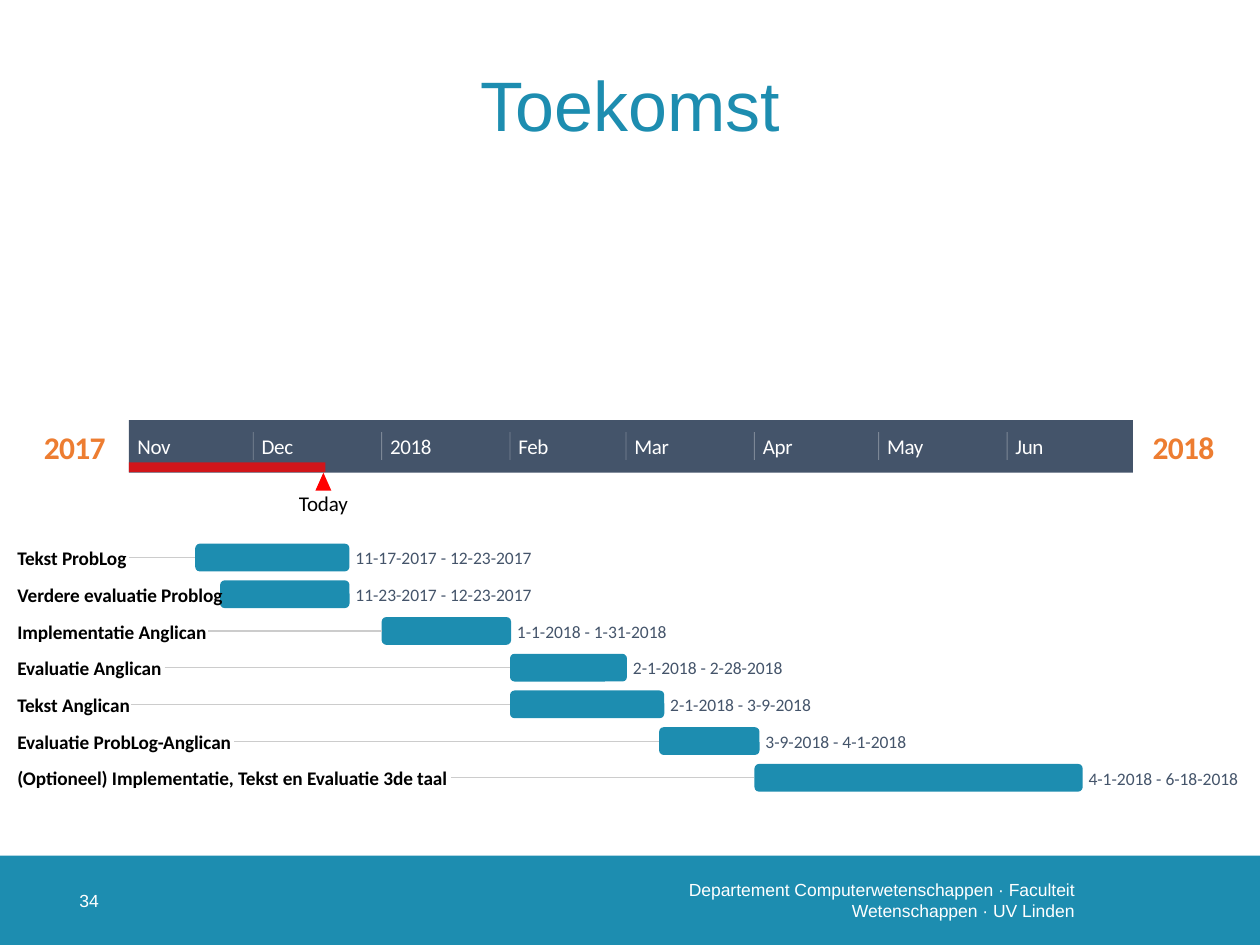
from dataclasses import dataclass
from itertools import accumulate

from lxml.etree import SubElement
from pptx import Presentation
from pptx.dml.color import RGBColor
from pptx.enum.shapes import MSO_CONNECTOR, MSO_SHAPE as SHAPE
from pptx.enum.text import MSO_ANCHOR, MSO_AUTO_SIZE as AUTO_SIZE, PP_ALIGN as ALIGN
from pptx.oxml.ns import qn
from pptx.util import Cm, Pt


@dataclass(frozen=True)
class Theme:
    teal: str = "1D8DB0"
    slate: str = "44546A"
    orange: str = "ED7D31"
    red: str = "FF0000"
    white: str = "FFFFFF"
    black: str = "000000"
    grey: str = "CCCCCC"
    heading_font: str = "Arial"
    chart_font: str = "Calibri"
    title_size: int = 40
    year_size: int = 18
    month_size: int = 12
    task_size: int = 11
    small_size: int = 10


theme = Theme()
presentation = Presentation()
presentation.slide_width, presentation.slide_height = Cm(25.4), Cm(19.05)
slide = presentation.slides.add_slide(presentation.slide_layouts[6])


def add_block(kind, left, top, width, height, color, opacity=100):
    block = slide.shapes.add_shape(kind, Cm(left), Cm(top), Cm(width), Cm(height))
    block.shadow.inherit = False
    block.fill.solid()
    block.fill.fore_color.rgb = RGBColor.from_string(color)
    block.line.fill.background()
    if opacity < 100:
        tint = next(block._element.spPr.iter(qn("a:srgbClr")))
        SubElement(tint, qn("a:alpha")).set("val", str(opacity * 1000))


def add_label(text, left, top, width, height, size, color, font=theme.chart_font,
              align=ALIGN.LEFT, bold=False, wrap=True, spacing=0):
    label = slide.shapes.add_textbox(Cm(left), Cm(top), Cm(width), Cm(height))
    frame = label.text_frame
    frame.margin_left = frame.margin_right = frame.margin_top = frame.margin_bottom = 0
    frame.vertical_anchor = MSO_ANCHOR.MIDDLE
    frame.word_wrap = wrap
    frame.auto_size = AUTO_SIZE.NONE
    frame.text = text
    paragraph = frame.paragraphs[0]
    paragraph.alignment = align
    run = paragraph.runs[0]
    run.font.name, run.font.size, run.font.bold = font, Pt(size), bold
    run.font.color.rgb = RGBColor.from_string(color)
    if spacing:
        run._r.get_or_add_rPr().set("spc", str(round(spacing * 100)))
    return frame


# Time scale: every position follows from the days since 1 November
axis_left, day_width = 2.6, 0.0835
month_numbers = [11, 12, 1, 2, 3, 4, 5, 6]
month_starts = list(accumulate([30, 31, 31, 28, 31, 30, 31], initial=0))
first_day = dict(zip(month_numbers, month_starts))
months = [("Nov", 0.69), ("Dec", 0.64), ("2018", 0.84), ("Feb", 0.61),
          ("Mar", 0.71), ("Apr", 0.61), ("May", 0.74), ("Jun", 0.58)]

# Tasks: name, width of the name, period
tasks = [
    ("Tekst ProbLog", 2.26, "11-17-2017 - 12-23-2017"),
    ("Verdere evaluatie Problog", 4.19, "11-23-2017 - 12-23-2017"),
    ("Implementatie Anglican", 3.84, "1-1-2018 - 1-31-2018"),
    ("Evaluatie Anglican", 2.97, "2-1-2018 - 2-28-2018"),
    ("Tekst Anglican", 2.29, "2-1-2018 - 3-9-2018"),
    ("Evaluatie ProbLog-Anglican", 4.37, "3-9-2018 - 4-1-2018"),
    ("(Optioneel) Implementatie, Tekst en Evaluatie 3de taal", 8.74,
     "4-1-2018 - 6-18-2018"),
]
task_left, first_row, row_pitch = 0.35, 10.96, 0.74

# Footer
add_block(SHAPE.RECTANGLE, 0, 17.25, 25.4, 1.8, theme.teal)
department = add_label("Departement Computerwetenschappen · Faculteit Wetenschappen · UV Linden",
                       11.91, 17.25, 10.26, 1.8, theme.small_size, theme.white,
                       theme.heading_font, ALIGN.RIGHT)
department.margin_right = Cm(0.51)
add_label("34", 1.6, 17.25, 1.8, 1.8, theme.small_size, theme.white, theme.heading_font)

# Title
title = add_label("Toekomst", 1.6, 0.59, 22.2, 3.2, theme.title_size, theme.teal,
                  theme.heading_font, ALIGN.CENTER)
title.paragraphs[0].line_spacing = 0.9

# Timeline band with the years and the elapsed part
for year, year_left in [("2017", 0.89), ("2018", 23.24)]:
    add_label(year, year_left, 8.61, 1.24, 0.79, theme.year_size, theme.orange,
              align=ALIGN.CENTER, bold=True, wrap=False, spacing=-0.4)
add_block(SHAPE.RECTANGLE, axis_left, 8.47, 20.24, 1.06, theme.slate)
add_block(SHAPE.RECTANGLE, axis_left, 9.32, 3.96, 0.2, theme.red, opacity=75)

# Today marker
add_block(SHAPE.ISOSCELES_TRIANGLE, 6.36, 9.53, 0.32, 0.36, theme.red)
add_label("Today", 6.02, 9.88, 1.0, 0.51, theme.month_size, theme.black,
          align=ALIGN.CENTER, wrap=False, spacing=-0.1)

# Month names and their dividers
rules = []
for (month, month_width), start in zip(months, month_starts):
    month_left = axis_left + start * day_width
    add_label(month, month_left + 0.17, 8.74, month_width, 0.51, theme.month_size,
              theme.white, wrap=False, spacing=-0.2)
    if start:
        rules.append((month_left, 8.71, month_left, 9.27, theme.white, 0.5, 30))

# Task rows, with a leader wherever the name ends before the bar
for row, (task, task_width, period) in enumerate(tasks):
    row_top = first_row + row * row_pitch
    start, end = [first_day[int(month)] + int(day) - 1 for month, day, _ in
                  (date.split("-") for date in period.split(" - "))]
    bar_left = axis_left + start * day_width
    bar_width = (end + 1 - start) * day_width + 0.02
    add_block(SHAPE.ROUNDED_RECTANGLE, bar_left, row_top, bar_width, 0.56, theme.teal)
    add_label(period, bar_left + bar_width + 0.12, row_top + 0.07,
              0.15 * len(period), 0.43, theme.small_size, theme.slate, wrap=False)
    add_label(task, task_left, row_top + 0.05, task_width, 0.48, theme.task_size,
              theme.black, bold=True, wrap=False, spacing=-0.05)
    task_right = task_left + task_width
    if task_right < bar_left:
        leader_y = row_top + 0.28
        rules.append((task_right, leader_y, bar_left, leader_y, theme.grey, 0.6, 100))

# Dividers and leaders
for x1, y1, x2, y2, color, weight, opacity in rules:
    rule = slide.shapes.add_connector(MSO_CONNECTOR.STRAIGHT, Cm(x1), Cm(y1), Cm(x2), Cm(y2))
    rule.line.width = Pt(weight)
    rule.line.color.rgb = RGBColor.from_string(color)
    properties = rule._element.spPr
    tint = next(properties.iter(qn("a:srgbClr")))
    SubElement(tint, qn("a:alpha")).set("val", str(opacity * 1000))
    SubElement(properties, qn("a:effectLst"))

presentation.save("out.pptx")
